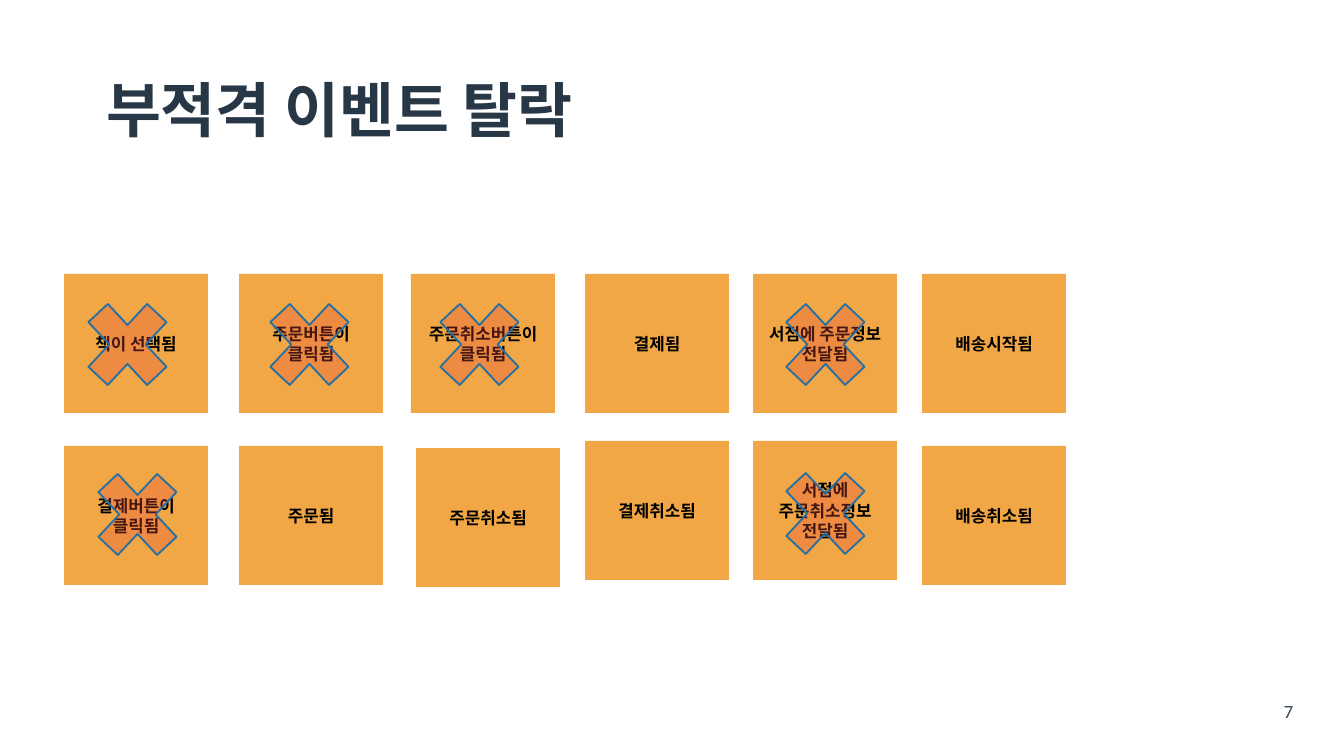
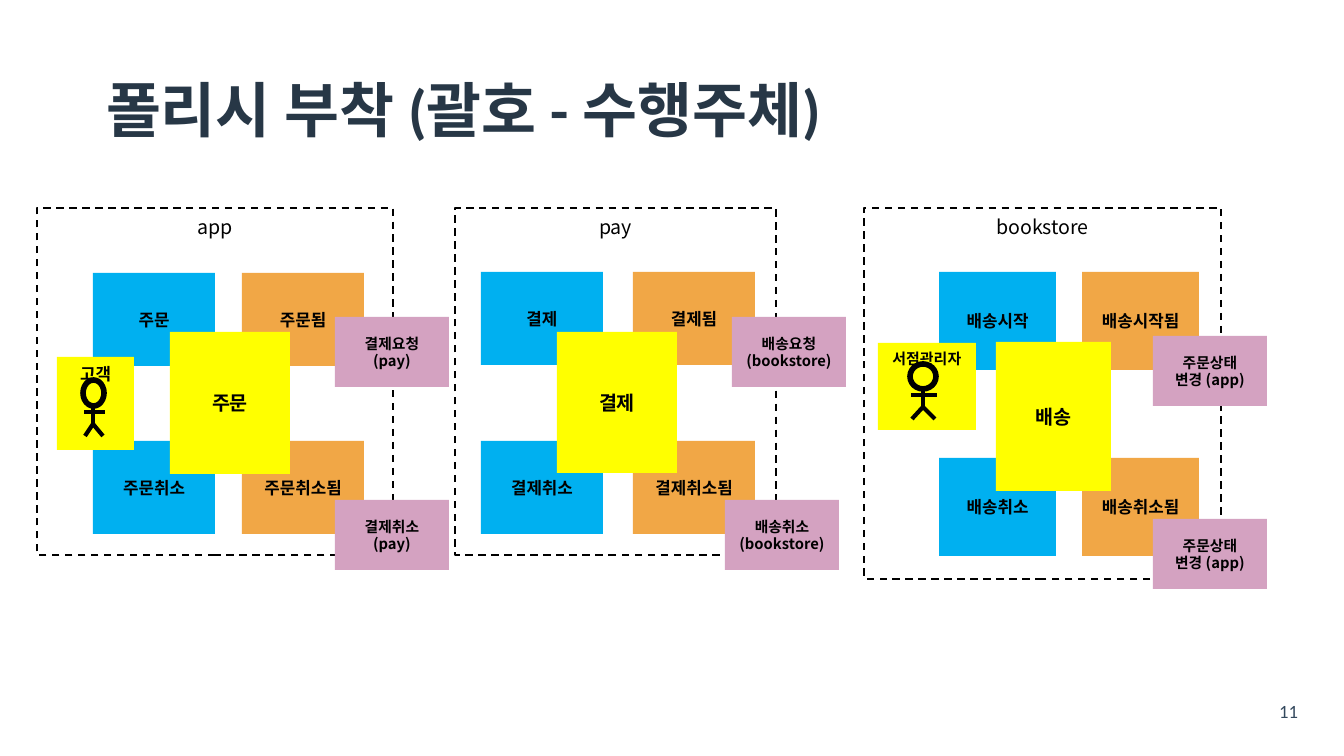
from lxml import etree
from pptx import Presentation
from pptx import util as u
from pptx.dml.color import RGBColor
from pptx.enum import dml, shapes, text
from pptx.oxml.ns import qn

PX = 914400 / 134.4
HEADING_FONT, NOTE_FONT = "Calibri", "Noto Sans CJK KR"

HEADING = RGBColor(0x27, 0x37, 0x46)
PAGE_GREY = RGBColor(0x34, 0x49, 0x5E)
BLACK = RGBColor(0, 0, 0)
EVENT_ORANGE = RGBColor(0xF1, 0xA7, 0x46)
COMMAND_BLUE = RGBColor(0x00, 0xB0, 0xF0)
YELLOW = RGBColor(0xFF, 0xFF, 0x00)
POLICY_PINK = RGBColor(0xD4, 0xA2, 0xC1)
CROSS_RED = RGBColor(0xE7, 0x4C, 0x3C)
CROSS_EDGE = RGBColor(0x26, 0x70, 0xA2)

# Slide 1: events by row, each (text, left); left of its cross or None
NOTE_W, NOTE_H = 144, 139
EVENTS = [
    ("책이 선택됨", 64, 274, (71, 284)),
    ("주문버튼이 클릭됨", 239, 274, (253, 284)),
    ("주문취소버튼이 클릭됨", 411, 274, (423, 284)),
    ("결제됨", 585, 274, None),
    ("서점에 주문정보 전달됨", 753, 274, (769, 284)),
    ("배송시작됨", 922, 274, None),
    ("결제버튼이 클릭됨", 64, 446, (81, 454)),
    ("주문됨", 239, 446, None),
    ("주문취소됨", 416, 448, None),
    ("결제취소됨", 585, 441, None),
    ("서점에 주문취소정보 전달됨", 753, 441, (769, 453)),
    ("배송취소됨", 922, 446, None),
]

# Slide 2: bounded contexts; notes are rows of (command, event)
CONTEXTS = [
    dict(name="app", frame=(37, 208, 356, 347),
         columns=(93, 242), rows=(273, 441), note_size=(122, 93),
         notes=[("주문", "주문됨"), ("주문취소", "주문취소됨")],
         aggregate=("주문", (170, 332, 120, 142)),
         actor=("고객", 9, (57, 357, 77, 93), (83, 380, 21, 26)),
         policies=[("결제요청\n(pay)", 335, 317), ("결제취소\n(pay)", 335, 500)]),
    dict(name="pay", frame=(455, 208, 321, 347),
         columns=(481, 633), rows=(272, 441), note_size=(122, 93),
         notes=[("결제", "결제됨"), ("결제취소", "결제취소됨")],
         aggregate=("결제", (557, 332, 120, 141)),
         actor=None,
         policies=[("배송요청\n(bookstore)", 732, 317),
                   ("배송취소\n(bookstore)", 725, 500)]),
    dict(name="bookstore", frame=(864, 208, 357, 371),
         columns=(939, 1082), rows=(272, 458), note_size=(117, 98),
         notes=[("배송시작", "배송시작됨"), ("배송취소", "배송취소됨")],
         aggregate=("배송", (996, 342, 115, 149)),
         actor=("서점관리자", 8, (878, 343, 98, 87), (910, 364, 26, 25)),
         policies=[("주문상태\n변경 (app)", 1153, 336),
                   ("주문상태\n변경 (app)", 1153, 519)]),
]


def px(*lengths):
    return [u.Emu(round(length * PX)) for length in lengths]


def put_text(shape, words, size=9, bold=True, color=BLACK, font=NOTE_FONT,
             align=text.PP_ALIGN.CENTER, anchor=text.MSO_ANCHOR.MIDDLE,
             spacing=None, side=13, top=7):
    frame = shape.text_frame
    frame.word_wrap = True
    frame.auto_size = text.MSO_AUTO_SIZE.NONE
    frame.vertical_anchor = anchor
    frame.margin_left = frame.margin_right = px(side)[0]
    frame.margin_top = frame.margin_bottom = px(top)[0]
    frame.text = words
    for paragraph in frame.paragraphs:
        paragraph.alignment = align
        if spacing:
            paragraph.line_spacing = spacing
        for run in paragraph.runs:
            run.font.size = u.Pt(size)
            run.font.bold = bold
            run.font.color.rgb = color
            run.font.name = font
            east_asian = etree.SubElement(run.font._element, qn("a:ea"))
            east_asian.set("typeface", NOTE_FONT)


def add_box(parent, box, fill=None, edge=None, width=1,
            kind=shapes.MSO_SHAPE.RECTANGLE):
    shape = parent.add_shape(kind, *px(*box))
    shape.shadow.inherit = False
    if fill is None:
        shape.fill.background()
    else:
        shape.fill.solid()
        shape.fill.fore_color.rgb = fill
    if edge is None:
        shape.line.fill.background()
    else:
        shape.line.color.rgb = edge
        shape.line.width = u.Pt(width)
    return shape


def add_note(parent, words, box, fill, **text_format):
    put_text(add_box(parent, box, fill), words, **text_format)


def add_cross(parent, left, top):
    cross = add_box(parent, (left, top, 113, 121), CROSS_RED, CROSS_EDGE,
                    kind=shapes.MSO_SHAPE.MATH_MULTIPLY)
    tint = cross.fill._xPr.find(qn("a:solidFill"))[0]
    etree.SubElement(tint, qn("a:alpha")).set("val", "30000")


def add_limb(parent, *ends):
    limb = parent.add_connector(shapes.MSO_CONNECTOR.STRAIGHT, *px(*ends))
    limb.line.color.rgb = BLACK
    limb.line.width = u.Pt(2.25)
    etree.SubElement(limb._element.spPr, qn("a:effectLst"))


def add_actor(parent, role, size, card, head):
    add_note(parent, role, card, YELLOW, size=size, anchor=text.MSO_ANCHOR.TOP)
    add_box(parent, head, edge=BLACK, width=3, kind=shapes.MSO_SHAPE.OVAL)
    left, top, width, height = head
    center, neck = left + width // 2, top + height
    hip = neck + 18
    add_limb(parent, left + 1, neck + 6, left + width + 1, neck + 6)
    add_limb(parent, center, neck, center, hip)
    for foot in (left + 2, left + width - 1):
        add_limb(parent, center, hip, foot, neck + 30)


def add_context(slide, name, frame, columns, rows, note_size, notes,
                aggregate, actor, policies):
    border = add_box(slide.shapes, frame, edge=BLACK)
    border.line.dash_style = dml.MSO_LINE.DASH
    put_text(border, name, size=10.5, bold=False, anchor=text.MSO_ANCHOR.TOP)

    cluster = slide.shapes.add_group_shape().shapes
    for top, pair in zip(rows, notes):
        for left, words, fill in zip(columns, pair, (COMMAND_BLUE, EVENT_ORANGE)):
            add_note(cluster, words, (left, top, *note_size), fill)
    if actor:
        add_actor(cluster, *actor)
    topic, box = aggregate
    add_note(cluster, topic, box, YELLOW, size=10.5)

    for words, left, top in policies:
        add_note(slide.shapes, words, (left, top, 114, 70), POLICY_PINK,
                 size=7.9, side=7)


def add_titled_slide(deck, heading, page):
    slide = deck.slides.add_slide(deck.slide_layouts[5])
    title = slide.shapes.title
    title.left, title.top, title.width, title.height = px(93, 40, 1158, 147)
    put_text(title, heading, size=32, color=HEADING, font=HEADING_FONT,
             align=text.PP_ALIGN.LEFT, spacing=0.9)
    page_box = slide.shapes.add_textbox(*px(1251, 700, 75, 35))
    put_text(page_box, page, size=10, bold=False, color=PAGE_GREY,
             font=HEADING_FONT, anchor=text.MSO_ANCHOR.TOP, spacing=0.5,
             side=20, top=10)
    return slide


def main():
    deck = Presentation()
    deck.slide_width, deck.slide_height = px(1344, 756)

    # Events that do not qualify are crossed out
    screening = add_titled_slide(deck, "부적격 이벤트 탈락", "7")
    for words, left, top, _ in EVENTS:
        add_note(screening.shapes, words, (left, top, NOTE_W, NOTE_H), EVENT_ORANGE)
    for *_, cross in EVENTS:
        if cross:
            add_cross(screening.shapes, *cross)

    # Policies attached to each bounded context
    policy_map = add_titled_slide(deck, "폴리시 부착 (괄호 - 수행주체)", "11")
    for context in CONTEXTS:
        add_context(policy_map, **context)

    deck.save("out.pptx")


if __name__ == "__main__":
    main()
